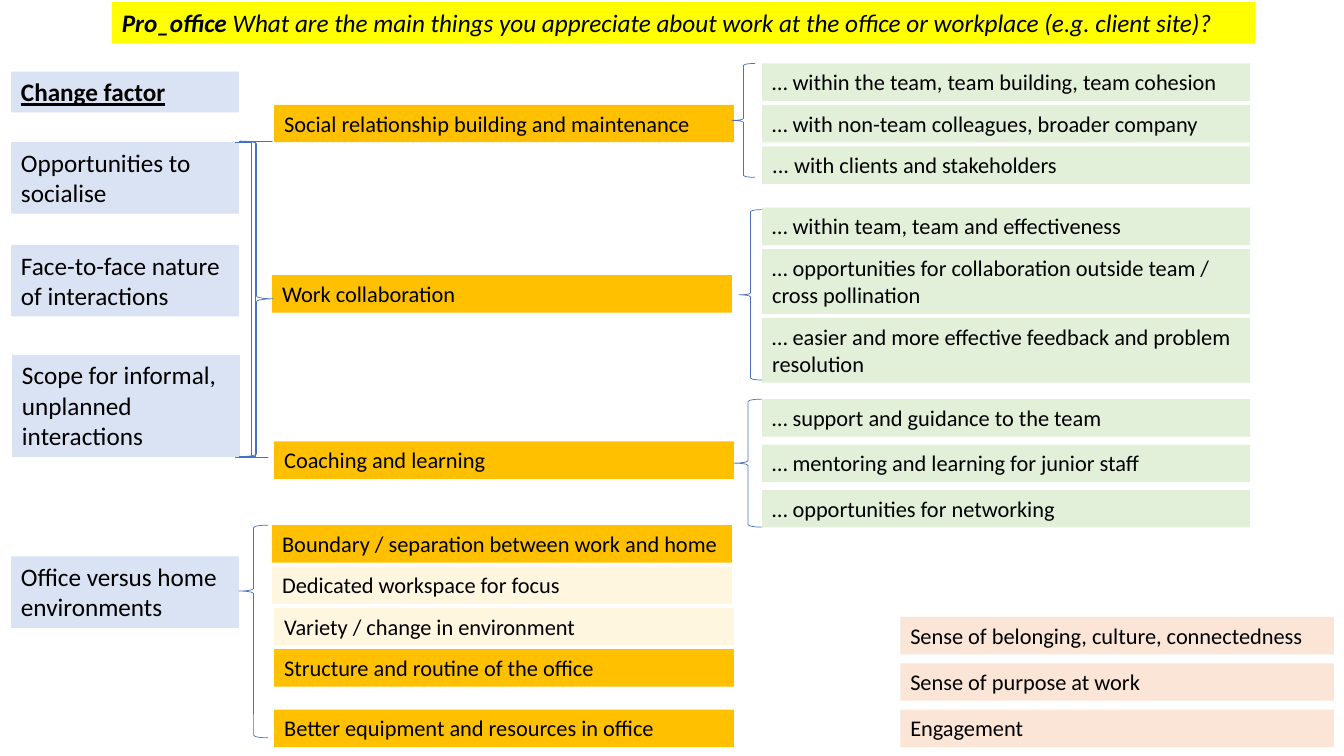
from pptx import Presentation
from pptx.dml.color import RGBColor
from pptx.enum.shapes import MSO_SHAPE
from pptx.enum.text import MSO_AUTO_SIZE
from pptx.util import Inches, Pt

TITLE = ("Pro_office", " What are the main things you appreciate about work at the "
         "office or workplace (e.g. client site)?")
HEADING = "Change factor"
AMBER, CREAM = "FFC000", "FFF6E0"

# Columns: left, width, font size, then rows of (top, line count, text[, fill or left])
FACTORS = [
    (0.11, 1.41, 2, "Opportunities to socialise"),
    (0.11, 2.43, 2, "Face-to-face nature of interactions"),
    (0.12, 3.52, 3, "Scope for informal, unplanned interactions"),
    (0.11, 5.52, 2, "Office versus home environments"),
]
THEMES = [
    (2.72, 1.04, AMBER, "Social relationship building and maintenance"),
    (2.70, 2.73, AMBER, "Work collaboration"),
    (2.72, 4.38, AMBER, "Coaching and learning"),
    (2.70, 5.21, AMBER, "Boundary / separation between work and home"),
    (2.70, 5.62, CREAM, "Dedicated workspace for focus"),
    (2.72, 6.03, CREAM, "Variety / change in environment"),
    (2.72, 6.44, AMBER, "Structure and routine of the office"),
    (2.72, 7.04, AMBER, "Better equipment and resources in office"),
]
# Groups of details: top, gap between boxes, rows of (line count, text)
DETAILS = [
    (0.63, 0.04, [(1, "… within the team, team building, team cohesion"),
                  (1, "… with non-team colleagues, broader company"),
                  (1, "... with clients and stakeholders")]),
    (2.06, 0.04, [(1, "… within team, team and effectiveness"),
                  (2, "… opportunities for collaboration outside team / cross pollination"),
                  (2, "… easier and more effective feedback and problem resolution")]),
    (3.96, 0.08, [(1, "… support and guidance to the team"),
                  (1, "… mentoring and learning for junior staff"),
                  (1, "… opportunities for networking")]),
]
OUTCOMES = ["Sense of belonging, culture, connectedness",
            "Sense of purpose at work", "Engagement"]
# Braces: shape, left, top, width, height, position of the point (share of height)
LEFT, RIGHT = MSO_SHAPE.LEFT_BRACE, MSO_SHAPE.RIGHT_BRACE
BRACES = [
    (LEFT, 7.26, 0.63, 0.23, 1.13, 0.5),
    (LEFT, 7.33, 2.08, 0.23, 1.69, 0.5),
    (LEFT, 7.28, 3.96, 0.28, 1.27, 0.5),
    (RIGHT, 2.38, 1.40, 0.33, 3.13, 0.5),
    (RIGHT, 2.37, 1.40, 0.33, 3.13, 0),
    (RIGHT, 2.33, 1.41, 0.33, 3.13, 1),
    (LEFT, 2.37, 5.21, 0.29, 2.11, 0.31),
]


def rgb(value):
    """Turn a hex string into a colour."""
    return RGBColor.from_string(value)


def box_height(lines, size):
    """Height in inches of a box holding some lines of text."""
    return 0.1 + lines * size * 1.22 / 72


def add_box(left, top, width, fill, parts, size=16, lines=1):
    """Add a filled text box and return its runs."""
    box = s.shapes.add_textbox(Inches(left), Inches(top), Inches(width),
                               Inches(box_height(lines, size)))
    box.fill.solid()
    box.fill.fore_color.rgb = rgb(fill)
    tf = box.text_frame
    tf.word_wrap = True
    tf.auto_size = MSO_AUTO_SIZE.SHAPE_TO_FIT_TEXT
    for part in parts:
        r = tf.paragraphs[0].add_run()
        r.text = part
        r.font.name, r.font.size = "Calibri", Pt(size)
        r.font.color.rgb = rgb("000000")
    return tf.paragraphs[0].runs


def add_brace(kind, left, top, width, height, point):
    """Add a thin outlined brace."""
    sp = s.shapes.add_shape(kind, Inches(left), Inches(top), Inches(width), Inches(height))
    sp.shadow.inherit = False
    sp.fill.background()
    sp.line.color.rgb = rgb("4472C4")
    sp.line.width = Pt(0.5)
    sp.adjustments[1] = point


prs = Presentation()
prs.slide_width, prs.slide_height = Inches(13.33), Inches(7.5)
s = prs.slides.add_slide(prs.slide_layouts[6])

title_runs = add_box(1.11, 0.02, 11.34, "FFFF00", TITLE, 18)
for r in title_runs:
    r.font.italic = True
title_runs[0].font.bold = True

heading = add_box(0.11, 0.71, 2.26, "DAE3F3", [HEADING], 18)[0]
heading.font.bold = heading.font.underline = True

for left, top, lines, text in FACTORS:
    add_box(left, top, 2.26, "DAE3F3", [text], 18, lines)

for left, top, fill, text in THEMES:
    add_box(left, top, 4.56, fill, [text])

for top, gap, rows in DETAILS:
    for lines, text in rows:
        add_box(7.56, top, 4.84, "E2F0D9", [text], lines=lines)
        top += box_height(lines, 16) + gap

for i, text in enumerate(OUTCOMES):
    add_box(8.93, 6.12 + 0.46 * i, 4.3, "FBE5D6", [text])

for brace in BRACES:
    add_brace(*brace)

prs.save("out.pptx")
